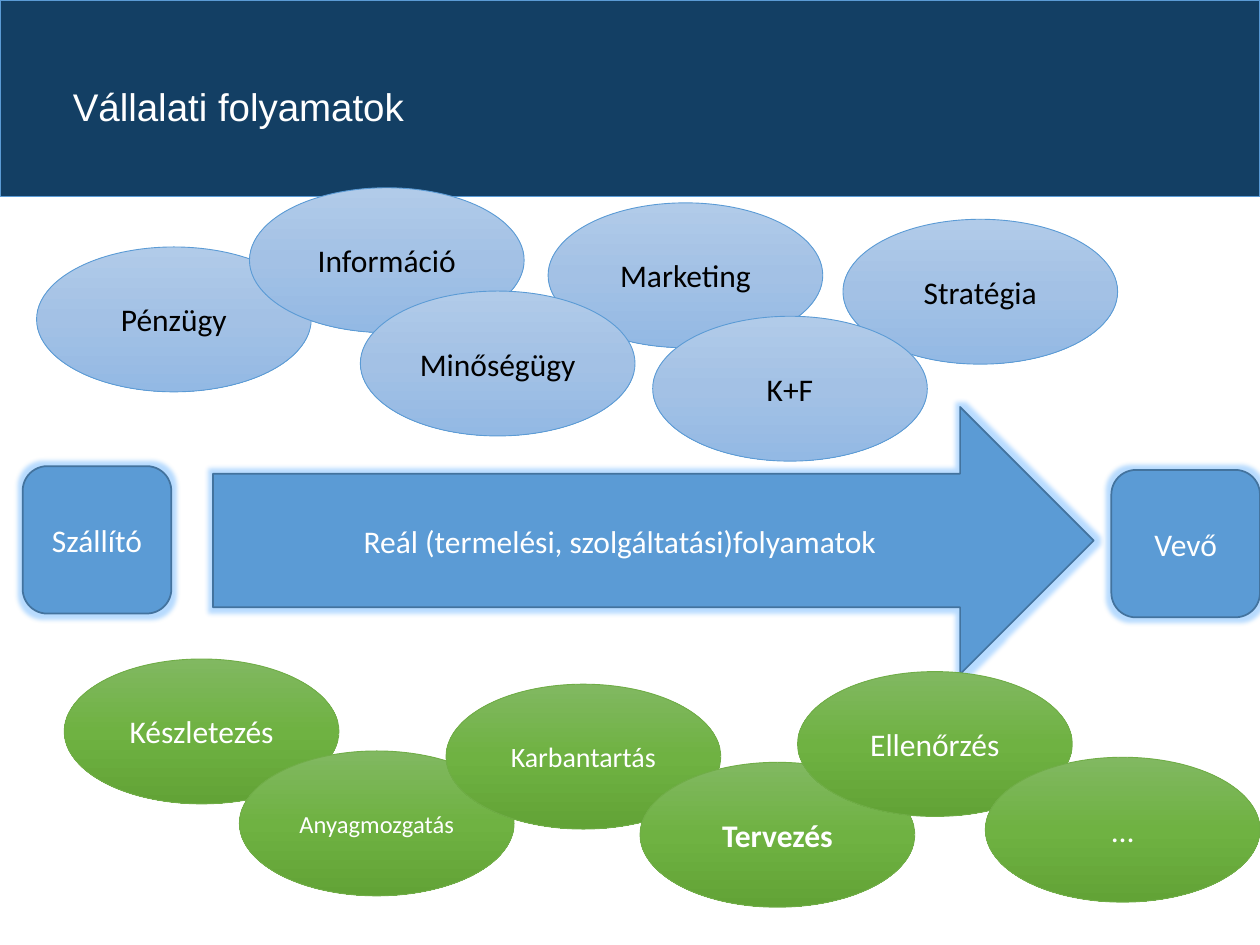
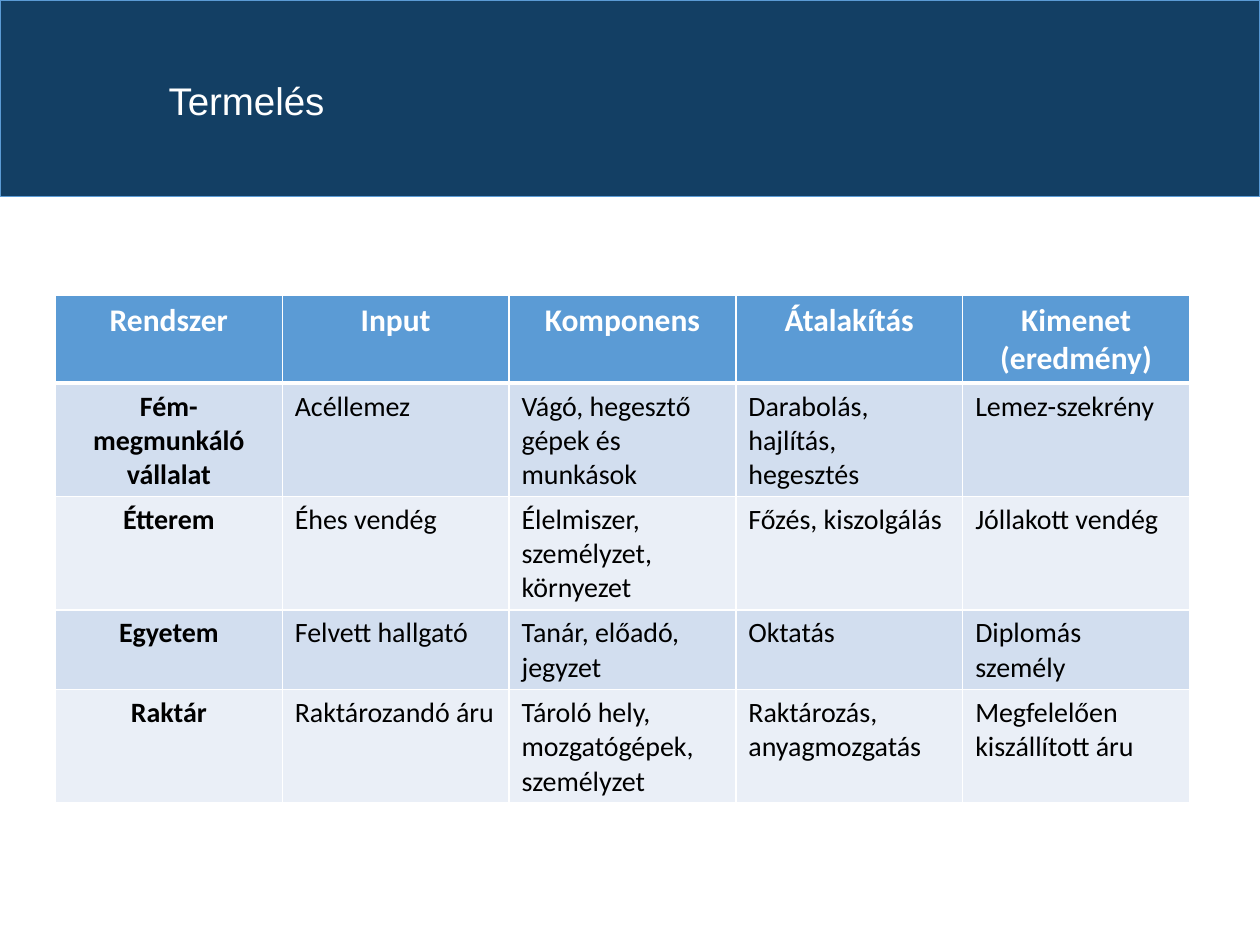
from copy import deepcopy

from lxml import etree
from pptx import Presentation
from pptx.dml.color import RGBColor
from pptx.enum.shapes import MSO_SHAPE
from pptx.enum.text import MSO_ANCHOR, PP_ALIGN
from pptx.oxml.ns import qn
from pptx.util import Inches, Pt

# Shared look
NAVY = RGBColor(0x13, 0x3F, 0x64)
BLUE = RGBColor(0x5B, 0x9B, 0xD5)
DARK_BLUE = RGBColor(0x43, 0x73, 0x9E)
GLOW_BLUE = RGBColor(0x4D, 0xA6, 0xFF)
GREEN = RGBColor(0x70, 0xAD, 0x47)
WHITE = RGBColor(0xFF, 0xFF, 0xFF)
BLACK = RGBColor(0x00, 0x00, 0x00)
ROW_FILLS = (RGBColor(0xD2, 0xDE, 0xEF), RGBColor(0xEA, 0xEF, 0xF7))
BLUE_GRADIENT = (RGBColor(0xB1, 0xCB, 0xE9), RGBColor(0xA3, 0xC1, 0xE5),
                 RGBColor(0x93, 0xB9, 0xE4))
GREEN_GRADIENT = (RGBColor(0x81, 0xB8, 0x61), RGBColor(0x6F, 0xB2, 0x42),
                  RGBColor(0x62, 0xA3, 0x36))
TITLE_FONT, BODY_FONT = "Arial", "Calibri"

RECTANGLE = MSO_SHAPE.RECTANGLE
ROUNDED = MSO_SHAPE.ROUNDED_RECTANGLE
ARROW = MSO_SHAPE.RIGHT_ARROW
ELLIPSE = MSO_SHAPE.OVAL
MIDDLE = MSO_ANCHOR.MIDDLE
LEFT, CENTER = PP_ALIGN.LEFT, PP_ALIGN.CENTER

SLIDE_WIDTH, SLIDE_HEIGHT = 10, 7.5
BAND_HEIGHT = 1.56
ELLIPSE_SIZE = (2.18, 1.15)
PARTNER_SIZE = (1.18, 1.17)

# Left, top, label and format of each process, from back to front
SUPPORT_PROCESSES = [
    (0.29, 1.96, "Pénzügy", {}),
    (1.98, 1.49, "Információ", {}),
    (6.69, 1.74, "Stratégia", {}),
    (4.35, 1.61, "Marketing", {}),
    (2.86, 2.31, "Minőségügy", {}),
    (5.18, 2.51, "K+F", {}),
]
OPERATING_PROCESSES = [
    (0.51, 5.23, "Készletezés", {}),
    (1.9, 5.96, "Anyagmozgatás", {"size": 14}),
    (3.54, 5.43, "Karbantartás", {"size": 16}),
    (5.08, 6.05, "Tervezés", {"bold": True}),
    (6.33, 5.33, "Ellenőrzés", {}),
    (7.82, 6.01, "…", {}),
]
SYSTEMS = [
    ("Rendszer", "Input", "Komponens", "Átalakítás", "Kimenet (eredmény)"),
    ("Fém-megmunkáló vállalat", "Acéllemez", "Vágó, hegesztő gépek és munkások",
     "Darabolás, hajlítás, hegesztés", "Lemez-szekrény"),
    ("Étterem", "Éhes vendég", "Élelmiszer, személyzet, környezet",
     "Főzés, kiszolgálás", "Jóllakott vendég"),
    ("Egyetem", "Felvett hallgató", "Tanár, előadó, jegyzet",
     "Oktatás", "Diplomás személy"),
    ("Raktár", "Raktározandó áru", "Tároló hely, mozgatógépek, személyzet",
     "Raktározás, anyagmozgatás", "Megfelelően kiszállított áru"),
]


def write_text(frame, text, font=BODY_FONT, size=18, color=WHITE, bold=False,
               align=CENTER, spacing=None):
    paragraph = frame.paragraphs[0]
    paragraph.alignment = align
    paragraph.line_spacing = spacing
    run = paragraph.add_run()
    run.text = text
    run.font.name = font
    run.font.size = Pt(size)
    run.font.bold = bold
    run.font.color.rgb = color


def add_block(slide, kind, box, line_color, line_width, fill=None):
    shape = slide.shapes.add_shape(kind, *map(Inches, box))
    shape.shadow.inherit = False
    shape.line.color.rgb = line_color
    shape.line.width = Pt(line_width)
    if fill is not None:
        shape.fill.solid()
        shape.fill.fore_color.rgb = fill
    shape.text_frame.word_wrap = True
    shape.text_frame.vertical_anchor = MIDDLE
    return shape


def fill_gradient(shape, colors):
    """Fill from top to bottom with three evenly spaced colours."""
    shape.fill.gradient()
    shape.fill.gradient_angle = 270
    stop_list = shape.element.spPr.find(f".//{qn('a:gsLst')}")
    stop_list.insert(1, deepcopy(stop_list[0]))
    for index, (stop, color) in enumerate(zip(shape.fill.gradient_stops, colors)):
        stop.position = index / 2
        stop.color.rgb = color


def add_glow(shape):
    effects = shape.element.spPr.find(qn("a:effectLst"))
    glow = etree.SubElement(effects, qn("a:glow"), rad=str(Pt(5)))
    color = etree.SubElement(glow, qn("a:srgbClr"), val=str(GLOW_BLUE))
    etree.SubElement(color, qn("a:alpha"), val="40000")


def add_title_slide_base(presentation, title, title_box):
    """Start a slide with the navy band and its title."""
    slide = presentation.slides.add_slide(presentation.slide_layouts[6])
    add_block(slide, RECTANGLE, (0, 0, SLIDE_WIDTH, BAND_HEIGHT), BLUE, 0.5, NAVY)
    frame = slide.shapes.add_textbox(*map(Inches, title_box)).text_frame
    frame.word_wrap = True
    frame.vertical_anchor = MIDDLE
    write_text(frame, title, font=TITLE_FONT, size=22, align=LEFT, spacing=0.9)
    return slide


def add_flow(slide, left, top):
    """Supplier, main process arrow and customer, from left to right."""
    parts = [
        (ARROW, (left + 1.51, top, 6.99, 2.12),
         "Reál (termelési, szolgáltatási)folyamatok"),
        (ROUNDED, (left, top + 0.47, *PARTNER_SIZE), "Szállító"),
        (ROUNDED, (left + 8.64, top + 0.5, *PARTNER_SIZE), "Vevő"),
    ]
    for kind, box, label in parts:
        shape = add_block(slide, kind, box, DARK_BLUE, 1, BLUE)
        add_glow(shape)
        write_text(shape.text_frame, label)


def add_processes(slide, processes, gradient, line_color, text_color):
    for left, top, label, text_format in processes:
        shape = add_block(slide, ELLIPSE, (left, top, *ELLIPSE_SIZE), line_color, 0.5)
        fill_gradient(shape, gradient)
        write_text(shape.text_frame, label, color=text_color, **text_format)


def set_borders(cell, bottom_width):
    properties = cell._tc.get_or_add_tcPr()
    for side, width in (("L", 1), ("R", 1), ("T", 1), ("B", bottom_width)):
        line = etree.SubElement(properties, qn(f"a:ln{side}"), w=str(Pt(width)))
        fill = etree.SubElement(line, qn("a:solidFill"))
        etree.SubElement(fill, qn("a:srgbClr"), val=str(WHITE))


def add_systems_table(slide, left, top, width, height):
    shape = slide.shapes.add_table(len(SYSTEMS), len(SYSTEMS[0]),
                                   *map(Inches, (left, top, width, height)))
    table = shape.table
    for row in table.rows:
        row.height = Inches(0.41)  # rows grow with their text
    for row_index, texts in enumerate(SYSTEMS):
        header = row_index == 0
        for column_index, text in enumerate(texts):
            heading = header or column_index == 0
            cell = table.cell(row_index, column_index)
            set_borders(cell, 3 if header else 1)
            cell.fill.solid()
            cell.fill.fore_color.rgb = BLUE if header else ROW_FILLS[(row_index - 1) % 2]
            write_text(cell.text_frame, text, size=18 if header else 16,
                       color=WHITE if header else BLACK, bold=heading,
                       align=CENTER if heading else LEFT)


def build_processes_slide(presentation):
    slide = add_title_slide_base(presentation, "Vállalati folyamatok",
                                 (0.48, 0.24, 9, 1.25))
    add_flow(slide, 0.18, 3.23)
    add_processes(slide, SUPPORT_PROCESSES, BLUE_GRADIENT, BLUE, BLACK)
    add_processes(slide, OPERATING_PROCESSES, GREEN_GRADIENT, GREEN, WHITE)


def build_production_slide(presentation):
    slide = add_title_slide_base(presentation, "Termelés", (1.24, 0.4, 8.07, 0.84))
    add_systems_table(slide, 0.44, 2.34, 9, 4.03)


def main():
    presentation = Presentation()
    presentation.slide_width = Inches(SLIDE_WIDTH)
    presentation.slide_height = Inches(SLIDE_HEIGHT)
    build_processes_slide(presentation)
    build_production_slide(presentation)
    presentation.save("out.pptx")


if __name__ == "__main__":
    main()
